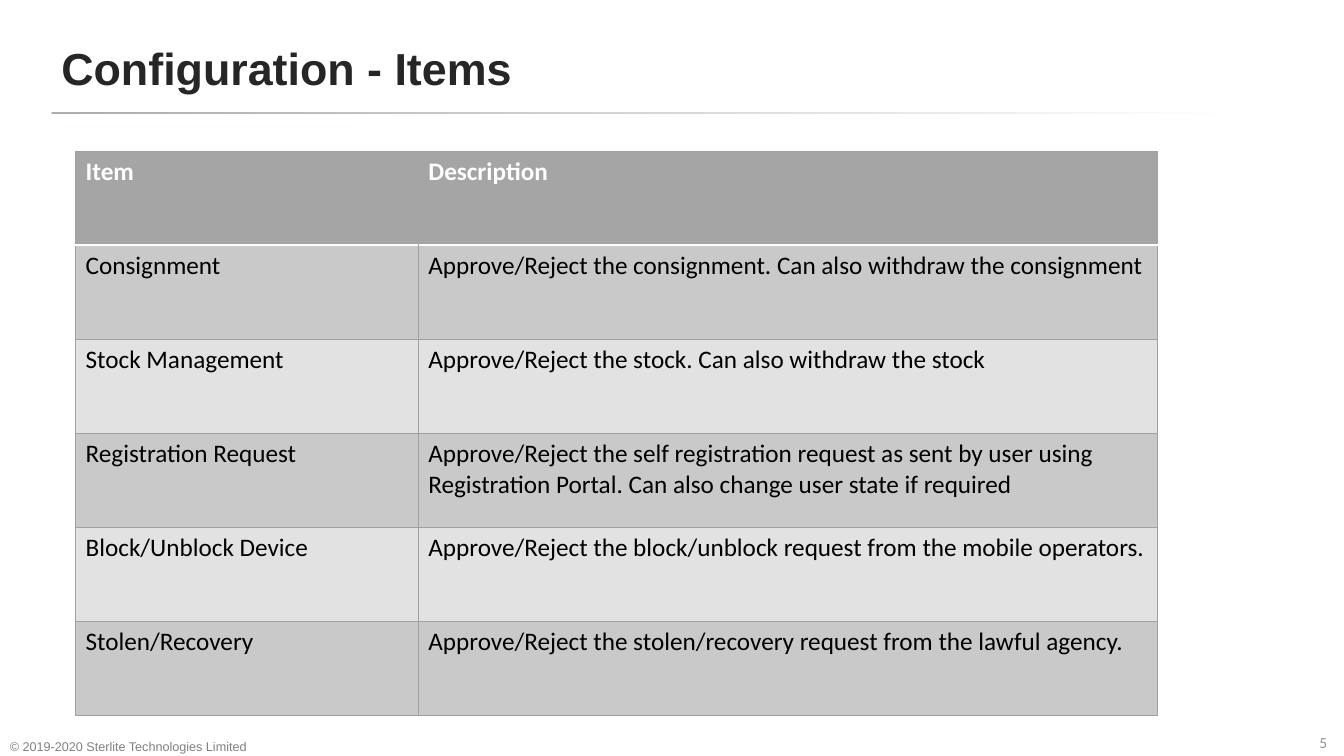
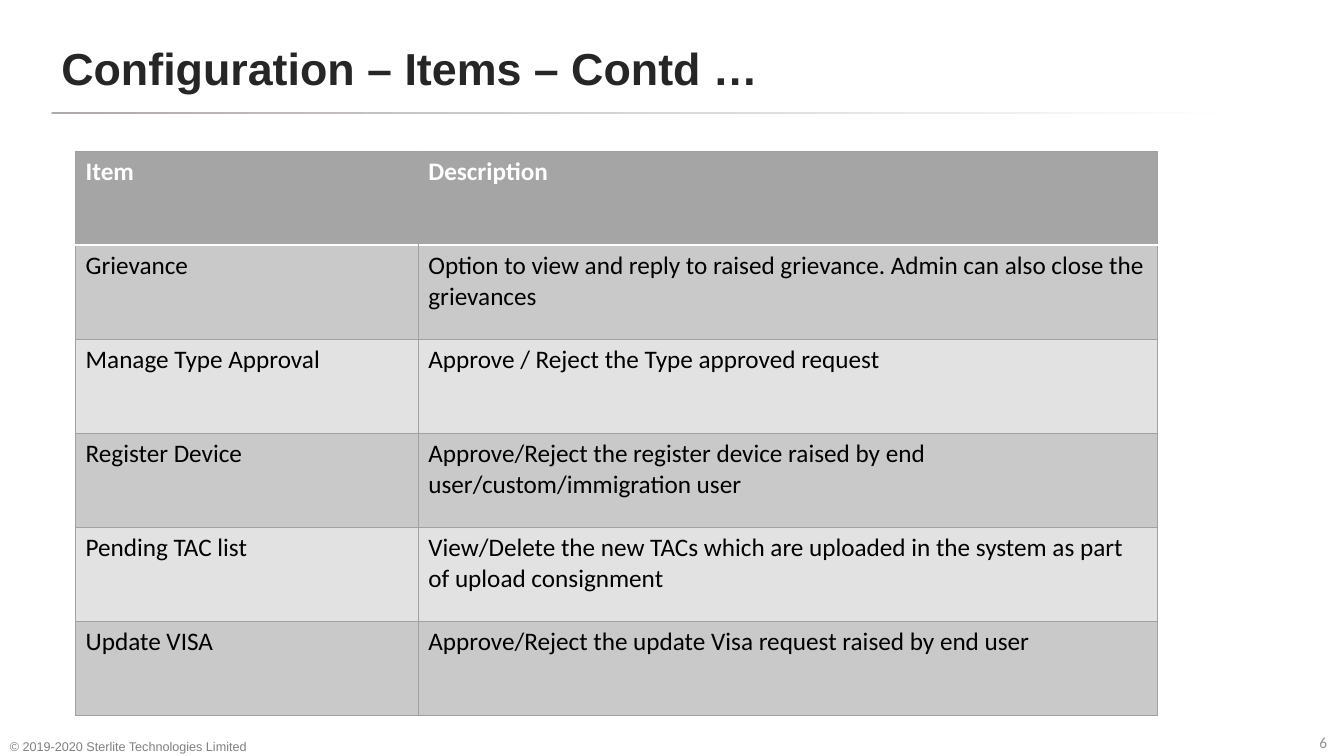
"""Builds two configuration slides, each with a table of items."""
from lxml.etree import SubElement
from pptx import Presentation
from pptx.dml.color import RGBColor
from pptx.enum.shapes import MSO_SHAPE as Shape
from pptx.enum.text import MSO_ANCHOR as Anchor
from pptx.oxml.ns import qn
from pptx.util import Pt

COLORS = {
    "title": "262626", "rule": "AFABAB", "white": "FFFFFF", "black": "000000",
    "number": "929292", "footer": "808080", "border": "A1A1A1",
    "header": "A5A5A5", "dark row": "C9C9C9", "light row": "E2E2E2",
}
COLUMN_WIDTHS = (244.8, 527.76)
ROW_HEIGHT = 67.2
FOOTER_TOP = 519.84

SLIDES = [
    ("Configuration - Items", 5, [
        ("Consignment", "Approve/Reject the consignment. Can also withdraw the consignment"),
        ("Stock Management", "Approve/Reject the stock. Can also withdraw the stock"),
        ("Registration Request",
         "Approve/Reject the self registration request as sent by user using "
         "Registration Portal. Can also change user state if required"),
        ("Block/Unblock Device", "Approve/Reject the block/unblock request from the mobile operators."),
        ("Stolen/Recovery", "Approve/Reject the stolen/recovery request from the lawful agency."),
    ]),
    ("Configuration – Items – Contd …", 6, [
        ("Grievance",
         "Option to view and reply to raised grievance. Admin can also close the grievances"),
        ("Manage Type Approval", "Approve / Reject the Type approved request"),
        ("Register Device",
         "Approve/Reject the register device raised by end user/custom/immigration user"),
        ("Pending TAC list",
         "View/Delete the new TACs which are uploaded in the system as part of upload consignment"),
        ("Update VISA", "Approve/Reject the update Visa request raised by end user"),
    ]),
]


def rgb(name):
    return RGBColor.from_string(COLORS[name])


def write(frame, text, size=18, font="Calibri", color="black", bold=False):
    span = frame.paragraphs[0].add_run()
    span.text = text
    span.font.size = Pt(size)
    span.font.name = font
    span.font.bold = bold
    span.font.color.rgb = rgb(color)


def add_text(page, text, left, top, width, height, anchor=Anchor.TOP, inset=None, wrap=True, **style):
    box = page.shapes.add_textbox(Pt(left), Pt(top), Pt(width), Pt(height))
    frame = box.text_frame
    frame.word_wrap = wrap
    frame.vertical_anchor = anchor
    if inset is not None:
        frame.margin_left = frame.margin_right = Pt(inset)
        frame.margin_top = frame.margin_bottom = Pt(inset)
    write(frame, text, **style)


def add_rule(page):
    rule = page.shapes.add_shape(Shape.ROUNDED_RECTANGLE, Pt(36.72), Pt(79.92), Pt(886.32), Pt(1.8))
    rule.adjustments[0] = 0.5
    rule.shadow.inherit = False
    rule.line.fill.background()
    rule.fill.gradient()
    rule.fill.gradient_angle = 0
    for stop, position, color in zip(rule.fill.gradient_stops, (0, 0.96), ("rule", "white")):
        stop.position = position
        stop.color.rgb = rgb(color)


def set_border(cell, side, color, width=0.75):
    line = SubElement(cell._tc.get_or_add_tcPr(), qn(f"a:ln{side}"), w=str(Pt(width)))
    fill = SubElement(line, qn("a:solidFill"))
    SubElement(fill, qn("a:srgbClr"), val=COLORS[color])


def format_cell(cell, row, column):
    borders = {side: ("border", 0.75) for side in "LRTB"}
    if row == 0:
        borders["B"] = ("white", 2)
        borders["R" if column == 0 else "L"] = ("header", 0.75)
    elif row == 1:
        borders["T"] = ("white", 2)
    for side, (color, width) in borders.items():
        set_border(cell, side, color, width)
    cell.fill.solid()
    cell.fill.fore_color.rgb = rgb("header" if row == 0 else "dark row" if row % 2 else "light row")


def add_item_table(page, items):
    rows = [("Item", "Description"), *items]
    frame = page.shapes.add_table(len(rows), len(COLUMN_WIDTHS), Pt(54), Pt(108),
                                  Pt(sum(COLUMN_WIDTHS)), Pt(ROW_HEIGHT * len(rows)))
    table = frame.table
    for column, width in zip(table.columns, COLUMN_WIDTHS):
        column.width = Pt(width)
    for row, texts in enumerate(rows):
        table.rows[row].height = Pt(ROW_HEIGHT)
        for column, text in enumerate(texts):
            cell = table.cell(row, column)
            format_cell(cell, row, column)
            write(cell.text_frame, text, color="black" if row else "white", bold=row == 0)


def add_page(deck, title, number, items):
    page = deck.slides.add_slide(deck.slide_layouts[6])
    add_rule(page)
    add_text(page, title, 36.72, 16.56, 714.24, 63.36, anchor=Anchor.MIDDLE,
             size=32, font="Arial", color="title", bold=True)
    add_text(page, str(number), 938.88, FOOTER_TOP, 19.44, 18, inset=3.6, wrap=False,
             size=11, color="number")
    add_text(page, "© 2019-2020 Sterlite Technologies Limited", 0, FOOTER_TOP, 218.16, 22.32,
             anchor=Anchor.BOTTOM, size=9, font="Arial", color="footer")
    add_item_table(page, items)


def main():
    deck = Presentation()
    deck.slide_width, deck.slide_height = Pt(960), Pt(540)
    for title, number, items in SLIDES:
        add_page(deck, title, number, items)
    deck.save("out.pptx")


if __name__ == "__main__":
    main()
